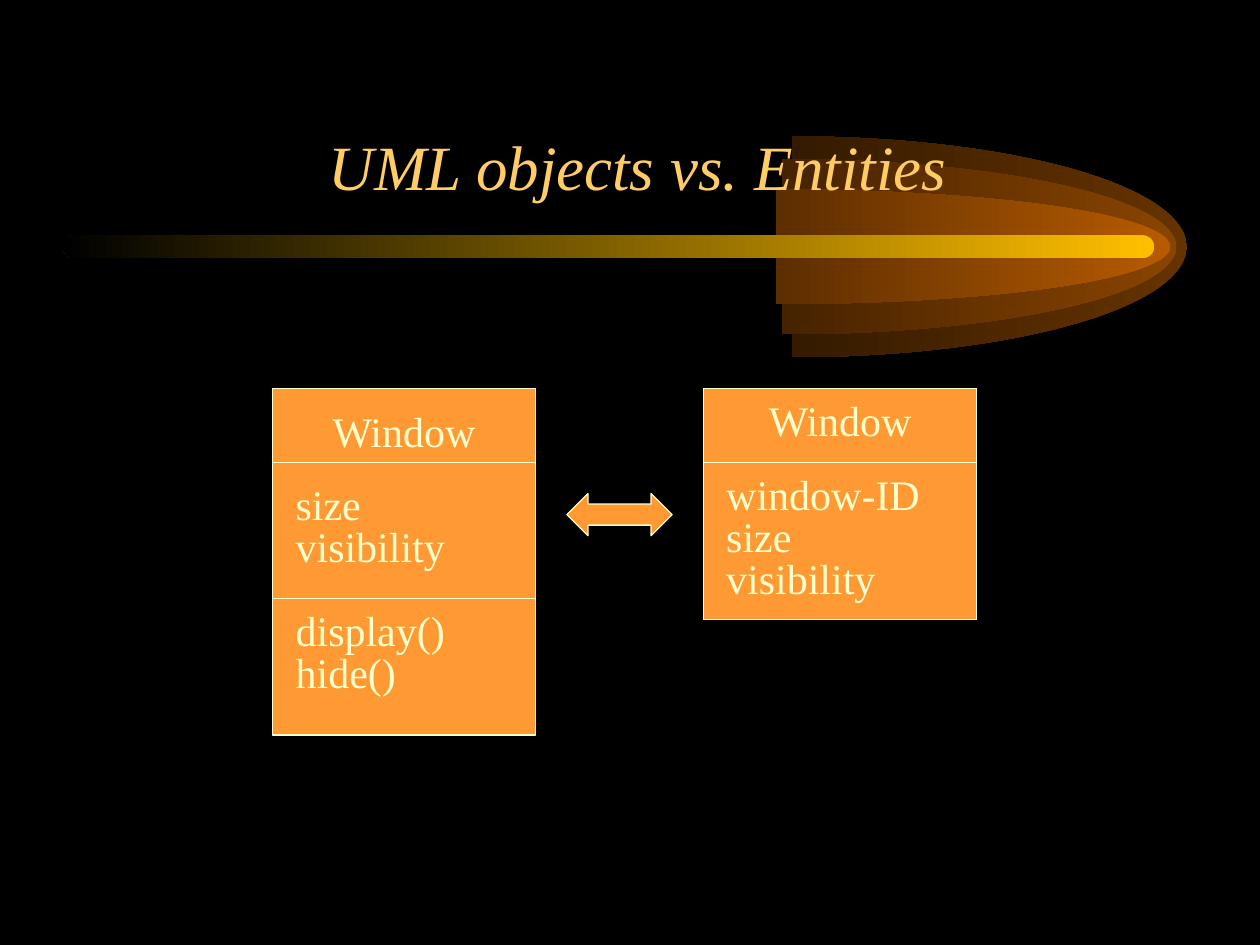
from pptx import Presentation
from pptx.dml.color import RGBColor
from pptx.enum.shapes import MSO_CONNECTOR, MSO_SHAPE as Preset
from pptx.enum.text import MSO_ANCHOR as Anchor, PP_ALIGN as Align
from pptx.oxml.ns import qn
from pptx.util import Cm, Pt
from lxml.etree import SubElement

FONT = "Times New Roman"
CREAM, ORANGE, GOLD, BLACK = "FFFFCC", "FF9933", "FFCC66", "000000"
LINE_PITCH = 0.85
INSET = 0.21


def color(hex_code):
    return RGBColor.from_string(hex_code)


def style_text(paragraph, size, hex_code, align, italic=False):
    paragraph.alignment = align
    font = paragraph.font
    font.name, font.size, font.italic = FONT, Pt(size), italic
    font.color.rgb = color(hex_code)


def add_preset(shapes, preset, left, top, width, height):
    shape = shapes.add_shape(preset, Cm(left), Cm(top), Cm(width), Cm(height))
    shape.shadow.inherit = False
    return shape


def fade_to_black(shape, hex_code):
    shape.line.fill.background()
    shape.fill.gradient()
    shape.fill.gradient_angle = 180
    for stop, stop_color in zip(shape.fill.gradient_stops, (hex_code, BLACK)):
        stop.color.rgb = color(stop_color)


def style_solid(shape):
    shape.fill.solid()
    shape.fill.fore_color.rgb = color(ORANGE)
    shape.line.color.rgb = color(CREAM)
    shape.line.width = Pt(0.75)


def add_comet(shapes, left, top, width, height):
    axis = top + height / 2
    # Three nested flames: right halves of ellipses
    for offset, flame_height, hex_code in ((6.76, 4.45, "663300"),
                                           (6.55, 3.53, "894400"),
                                           (6.43, 2.31, "B75B00")):
        flame = add_preset(shapes, Preset.PIE, left + offset,
                           axis - flame_height / 2, 15.9, flame_height)
        # Angles in 60000ths of a degree, scaled by 100000: 270° to 90°
        flame.adjustments[0], flame.adjustments[1] = 162, 54
        fade_to_black(flame, hex_code)
    # Glowing bar
    bar = add_preset(shapes, Preset.ROUNDED_RECTANGLE, left, axis - 0.23,
                     width, 0.46)
    bar.adjustments[0] = 0.5
    fade_to_black(bar, "FFBF00")


def place_title(slide, left, top, width, height):
    title = slide.shapes.title
    title.left, title.top = Cm(left), Cm(top)
    title.width, title.height = Cm(width), Cm(height)
    frame = title.text_frame
    frame.text = "UML objects vs. Entities"
    frame.vertical_anchor = Anchor.BOTTOM
    style_text(frame.paragraphs[0], 36, GOLD, Align.CENTER, italic=True)
    # Bring the title in front of the comet
    slide.shapes._spTree.append(title._element)


def add_label(shapes, text, left, top, width, align):
    label = shapes.add_textbox(Cm(left), Cm(top), Cm(width), Cm(1.27))
    frame = label.text_frame
    frame.word_wrap = True
    frame.text = text
    style_text(frame.paragraphs[0], 24, CREAM, align)


def add_rule(shapes, left, y, width):
    rule = shapes.add_connector(MSO_CONNECTOR.STRAIGHT, Cm(left), Cm(y),
                                Cm(left + width), Cm(y))
    rule.line.color.rgb = color(CREAM)
    rule.line.width = Pt(0.75)
    SubElement(rule._element.spPr, qn("a:effectLst"))


def add_class_card(shapes, left, top, width, height, name, name_top, sections):
    """sections: (rule offset, text offset, members) for each compartment."""
    style_solid(add_preset(shapes, Preset.RECTANGLE, left, top, width, height))
    text_left, text_width = left + INSET, width - 2 * INSET
    add_label(shapes, name, text_left, top + name_top, text_width, Align.CENTER)
    for rule_top, text_top, members in sections:
        add_rule(shapes, left, top + rule_top, width)
        for row, member in enumerate(members):
            add_label(shapes, member, text_left,
                      top + text_top + row * LINE_PITCH, text_width, Align.LEFT)


def add_link_arrow(shapes, left, top, width, height):
    arrow = add_preset(shapes, Preset.LEFT_RIGHT_ARROW, left, top, width, height)
    arrow.adjustments[0] = arrow.adjustments[1] = 0.5
    style_solid(arrow)


def main():
    prs = Presentation()
    prs.slide_width, prs.slide_height = Cm(25.4), Cm(19.05)
    slide = prs.slides.add_slide(prs.slide_layouts[5])
    slide.background.fill.solid()
    slide.background.fill.fore_color.rgb = color(BLACK)
    shapes = slide.shapes

    add_comet(shapes, 1.27, 2.75, 22, 4.45)
    place_title(slide, 2.06, 1.05, 21.59, 3.18)

    # UML object, entity, and the arrow between them
    add_class_card(shapes, 5.5, 7.83, 5.29, 6.99, "Window", INSET,
                   [(1.49, 1.69, ["size", "visibility"]),
                    (4.23, 4.23, ["display()", "hide()"])])
    add_class_card(shapes, 14.18, 7.83, 5.51, 4.66, "Window", 0,
                   [(1.49, 1.48, ["window-ID", "size", "visibility"])])
    add_link_arrow(shapes, 11.43, 9.95, 2.12, 0.85)

    prs.save("out.pptx")


if __name__ == "__main__":
    main()
